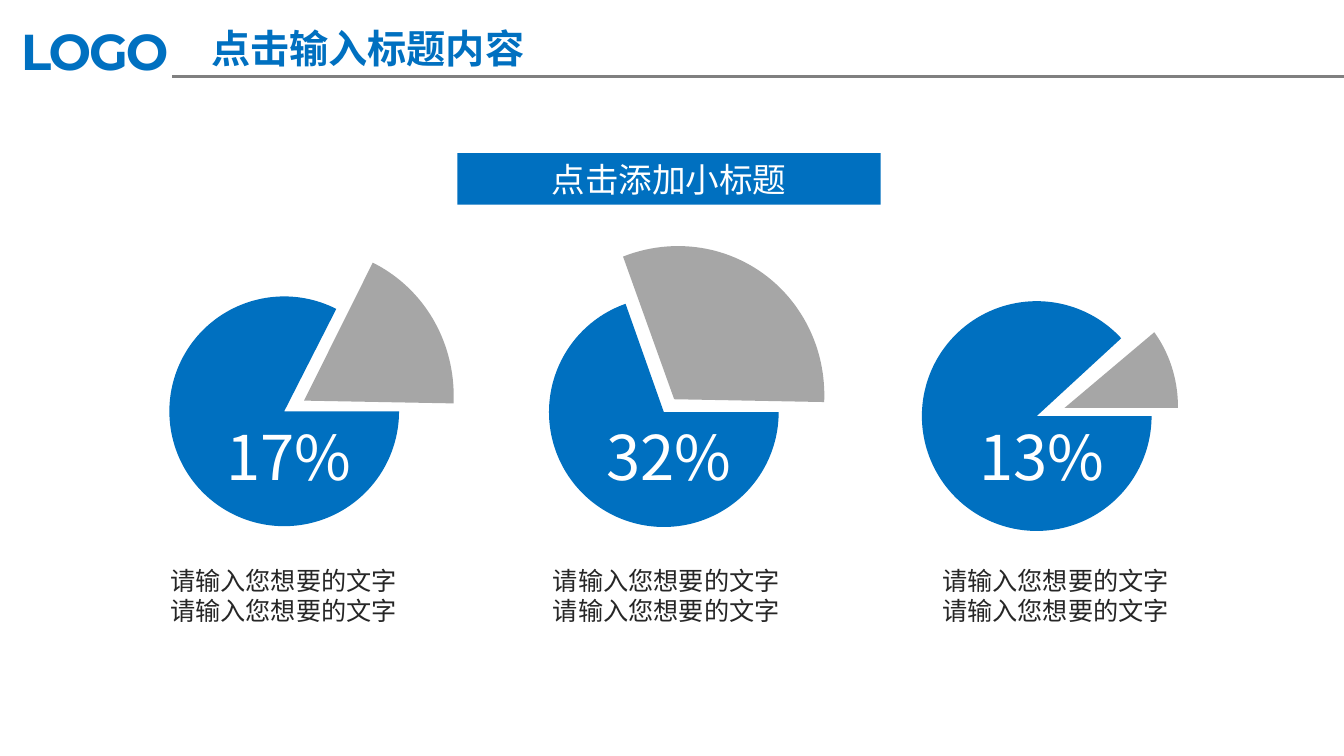
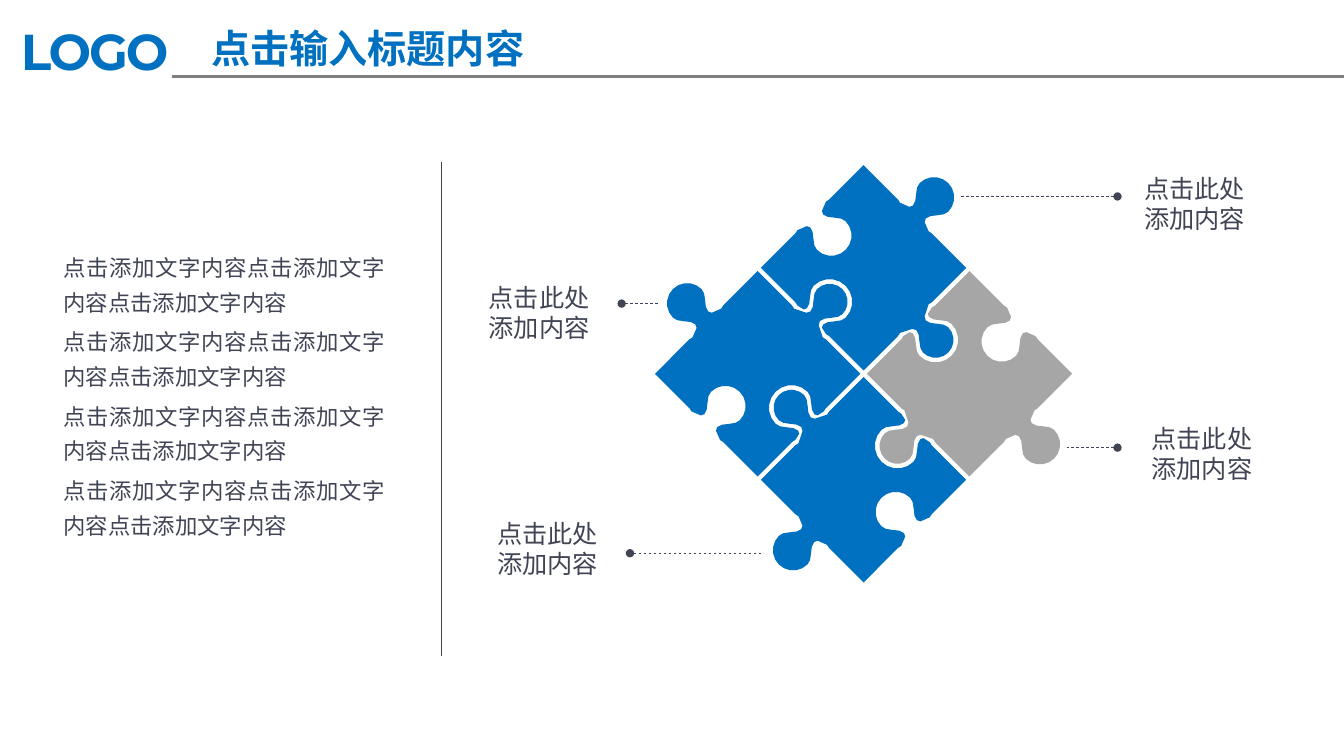
from math import cos, pi, radians, sin

from lxml.etree import SubElement
from pptx import Presentation
from pptx.dml.color import RGBColor
from pptx.enum.dml import MSO_LINE
from pptx.enum.shapes import MSO_CONNECTOR, MSO_SHAPE
from pptx.enum.text import MSO_ANCHOR, MSO_AUTO_SIZE, PP_ALIGN
from pptx.oxml.ns import qn
from pptx.util import Cm, Pt

COLORS = {"blue": "0070C0", "grey": "A6A6A6", "rule": "808080",
          "ink": "414455", "caption": "262626", "white": "FFFFFF"}
FONT = "Noto Sans CJK SC"
WIDTH, HEIGHT = 33.88, 19.05
TITLE_ONLY, TITLE_AND_BODY = 5, 1

# Puzzle geometry in cm
CENTER = (21.77, 9.42)
SPREAD = 2.67      # from the puzzle's centre to each piece's centre
HALF_SIDE = 1.83
KNOB_RADIUS = 0.51
KNOB_STEPS = 10
SEAM = 0.06        # interior tabs shrink and sockets grow by this
NECK = [((-0.28, 0.04), (-0.2, 0.11), (-0.23, 0.16)),
        ((-0.2, 0.25), (-0.32, 0.32), (-0.37, 0.41)),
        ((-0.48, 0.52), (-0.5, 0.6), (-0.51, 0.68))]
# Each side: direction (1 tab, -1 socket) and change of size
SIDES = [(1, 0), (1, -SEAM), (-1, SEAM), (-1, 0)]


def rgb(name):
    return RGBColor.from_string(COLORS[name])


def box(*lengths):
    return [Cm(length) for length in lengths]


def write(frame, text, size=18, color="ink", font=FONT, bold=False, align=None,
          line_spacing=None, tracking=None, wrap=True):
    """Fill a text frame, one paragraph for each line of text."""
    frame.text = text
    frame.word_wrap = wrap
    frame.auto_size = MSO_AUTO_SIZE.NONE
    for paragraph in frame.paragraphs:
        paragraph.alignment = align
        paragraph.line_spacing = line_spacing
        for run in paragraph.runs:
            run.font.size = Pt(size)
            run.font.bold = bold
            run.font.color.rgb = rgb(color)
            run.font.name = font
            properties = run.font._element
            SubElement(properties, qn("a:ea")).set("typeface", font)
            if tracking:
                properties.set("spc", str(tracking))


def add_text(slide, bounds, text, **fmt):
    frame = slide.shapes.add_textbox(*box(*bounds)).text_frame
    write(frame, text, **fmt)
    return frame


def paint(shape, color):
    shape.shadow.inherit = False
    shape.fill.solid()
    shape.fill.fore_color.rgb = rgb(color)
    shape.line.fill.background()


def add_line(slide, start, end, color="ink", weight=0.5, dotted_leader=False):
    line = slide.shapes.add_connector(MSO_CONNECTOR.STRAIGHT, *box(*start, *end))
    line.line.color.rgb = rgb(color)
    line.line.width = Pt(weight)
    if dotted_leader:
        line.line.dash_style = MSO_LINE.DASH
        SubElement(line.line._get_or_add_ln(), qn("a:headEnd")).set("type", "oval")
    SubElement(line._element.spPr, qn("a:effectLst"))


def add_pie(slide, bounds, color, start, end, rotation=0):
    """Draw a sector; angles are degrees, clockwise from the right."""
    sector = slide.shapes.add_shape(MSO_SHAPE.PIE, *box(*bounds))
    sector.adjustments[0] = start * 0.6
    sector.adjustments[1] = end * 0.6
    sector.rotation = rotation
    paint(sector, color)


def bezier(p0, p1, p2, p3, steps=2):
    for step in range(1, steps + 1):
        t = step / steps
        s = 1 - t
        yield tuple(s**3 * a + 3 * s * s * t * b + 3 * s * t * t * c + t**3 * d
                    for a, b, c, d in zip(p0, p1, p2, p3))


def side_profile(growth):
    """Points along one side: (distance from its middle, height)."""
    rise = [(-0.6, 0), (-0.51, -0.02)]
    for curve in NECK:
        shifted = [(u - growth, v - growth) for u, v in curve]
        rise.extend(bezier(rise[-1], *shifted))
    radius = KNOB_RADIUS + growth
    angles = [pi * step / KNOB_STEPS for step in range(1, KNOB_STEPS)]
    knob = [(-radius * cos(a), 0.68 - growth + radius * sin(a)) for a in angles]
    fall = [(-u, v) for u, v in reversed(rise)]
    return [(-HALF_SIDE, 0)] + rise + knob + fall


def add_piece(slide, turn, color):
    """Draw the piece that lies a number of quarter turns from the top."""
    heading = radians(90 * turn)
    center_x = CENTER[0] + SPREAD * sin(heading)
    center_y = CENTER[1] - SPREAD * cos(heading)
    outline = []
    for number, (direction, growth) in enumerate(SIDES):
        angle = radians(45 + 90 * (number + turn))
        for x, height in side_profile(growth):
            y = -HALF_SIDE - direction * height
            outline.append((Cm(center_x + x * cos(angle) - y * sin(angle)),
                            Cm(center_y + x * sin(angle) + y * cos(angle))))
    builder = slide.shapes.build_freeform(*outline[0])
    builder.add_line_segments(outline[1:], close=True)
    paint(builder.convert_to_shape(), color)


def place(placeholder, bounds):
    (placeholder.left, placeholder.top,
     placeholder.width, placeholder.height) = box(*bounds)
    return placeholder.text_frame


def new_slide(prs, layout):
    """Add a slide with the shared heading."""
    slide = prs.slides.add_slide(prs.slide_layouts[layout])
    mark = add_text(slide, (0.2, 0.33, 4.72, 1.88), "LOGO", size=36, color="blue",
                    font="Montserrat", bold=True, tracking=-150)
    mark.margin_left = mark.margin_right = Cm(0.33)
    mark.margin_top = mark.margin_bottom = Cm(0.18)
    add_line(slide, (4.34, 1.93), (WIDTH, 1.93), color="rule", weight=2)
    title = place(slide.shapes.title, (4.7, 0.48, 9.14, 1.45))
    write(title, "点击输入标题内容", size=28, color="blue", bold=True,
          align=PP_ALIGN.CENTER)
    return slide


def build_pies(prs):
    slide = new_slide(prs, TITLE_ONLY)

    # Subtitle band
    band = slide.shapes.add_shape(MSO_SHAPE.RECTANGLE, *box(11.53, 3.86, 10.67, 1.3))
    paint(band, "blue")
    band.text_frame.vertical_anchor = MSO_ANCHOR.MIDDLE
    write(band.text_frame, "点击添加小标题", size=24, color="white",
          align=PP_ALIGN.CENTER)

    # Share, disc place and end angle, slice (bounds, angles, rotation), text lefts
    groups = [
        ("17%", (4.27, 7.47), 296.96,
         ((3.78, 6.35, 7.77, 7.49), 0, 64.56, 296.5), 5.46, 4.04),
        ("32%", (13.84, 7.49), 250.53,
         ((13.11, 6.3, 7.77, 7.52), 313.78, 64.56, 296.5), 15.04, 13.69),
        ("13%", (23.24, 7.59), 317.38,
         ((23.75, 7.42, 6.17, 5.72), 45.97, 86.04, 273.9), 24.43, 23.5),
    ]
    for share, corner, end, (bounds, first, last, turn), share_x, caption_x in groups:
        add_pie(slide, (*corner, 5.79, 5.79), "blue", 0, end)
        add_pie(slide, bounds, "grey", first, last, turn)
        add_text(slide, (share_x, 10.44, 4.5, 2.13), share, size=44, color="white")
        add_text(slide, (caption_x, 14.12, 6.55, 1.8),
                 "\n".join(["请输入您想要的文字"] * 2), color="caption")


def build_puzzle(prs):
    slide = new_slide(prs, TITLE_AND_BODY)

    # List and divider
    points = slide.placeholders[1]
    write(place(points, (1.35, 6.07, 8.61, 9.45)),
          "\n".join(["点击添加文字内容" * 3] * 4), size=16,
          align=PP_ALIGN.JUSTIFY, line_spacing=1.3)
    for paragraph in points.text_frame.paragraphs:
        properties = paragraph._p.get_or_add_pPr()
        properties.set("marL", "0")
        properties.set("indent", "0")
        SubElement(properties, qn("a:buNone"))
    add_line(slide, (11.13, 16.54), (11.13, 4.09), weight=0.25)

    # Puzzle, clockwise from the top
    for turn, color in enumerate(["blue", "grey", "blue", "blue"]):
        add_piece(slide, turn, color)

    # Leaders (dot end, far end, height) and their labels (left, top)
    callouts = [((15.67, 16.59, 7.65), (12.07, 6.99)),
                ((15.88, 19.18, 13.94), (12.29, 12.93)),
                ((28.17, 24.21, 4.95), (28.6, 4.24)),
                ((28.17, 26.9, 11.28), (28.78, 10.54))]
    for (dot, tip, y), corner in callouts:
        add_line(slide, (dot, y), (tip, y), dotted_leader=True)
        add_text(slide, (*corner, 3.07, 1.8), "点击此处\n添加内容", wrap=False)


def main():
    prs = Presentation()
    prs.slide_width, prs.slide_height = box(WIDTH, HEIGHT)
    build_pies(prs)
    build_puzzle(prs)
    prs.save("out.pptx")


if __name__ == "__main__":
    main()
